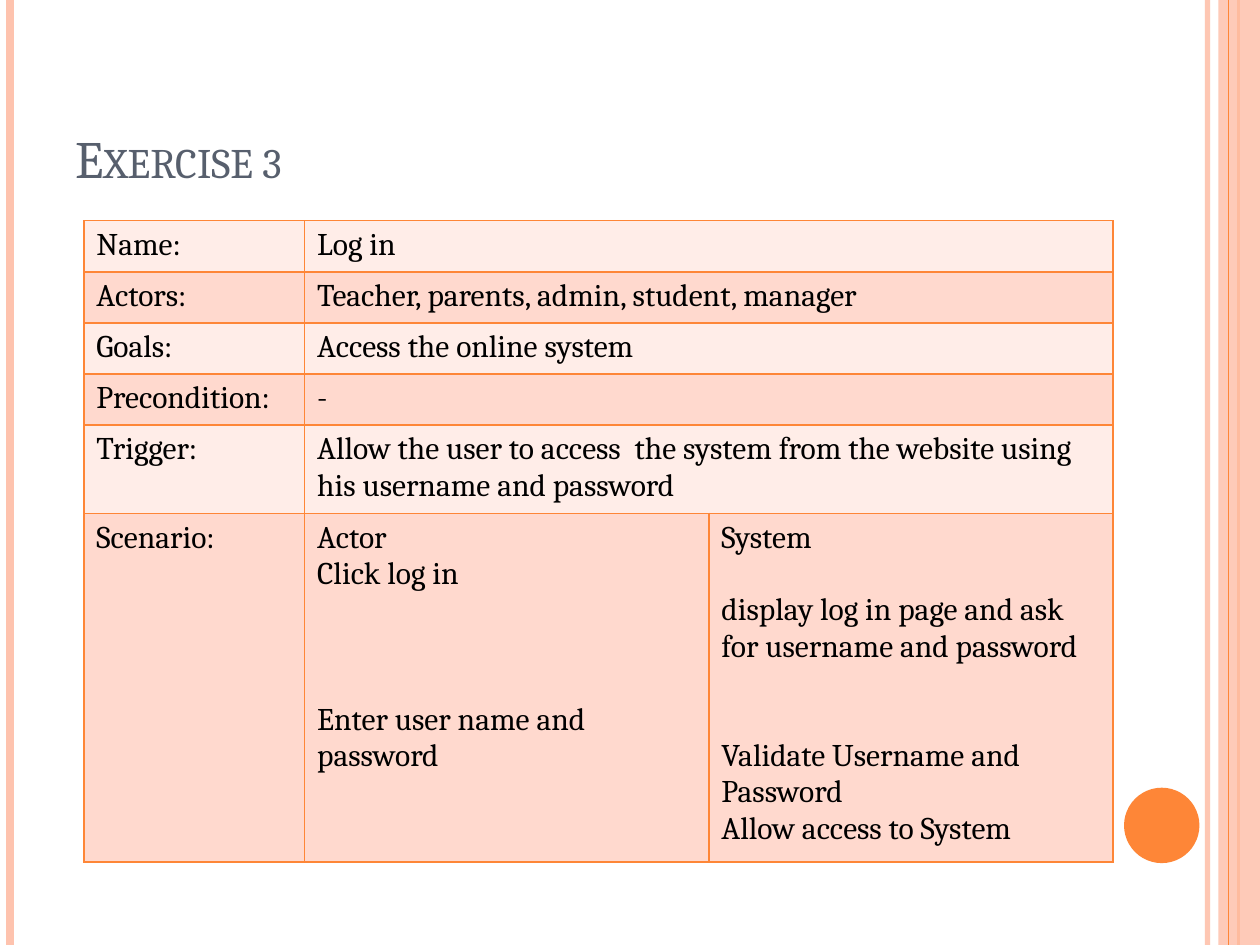
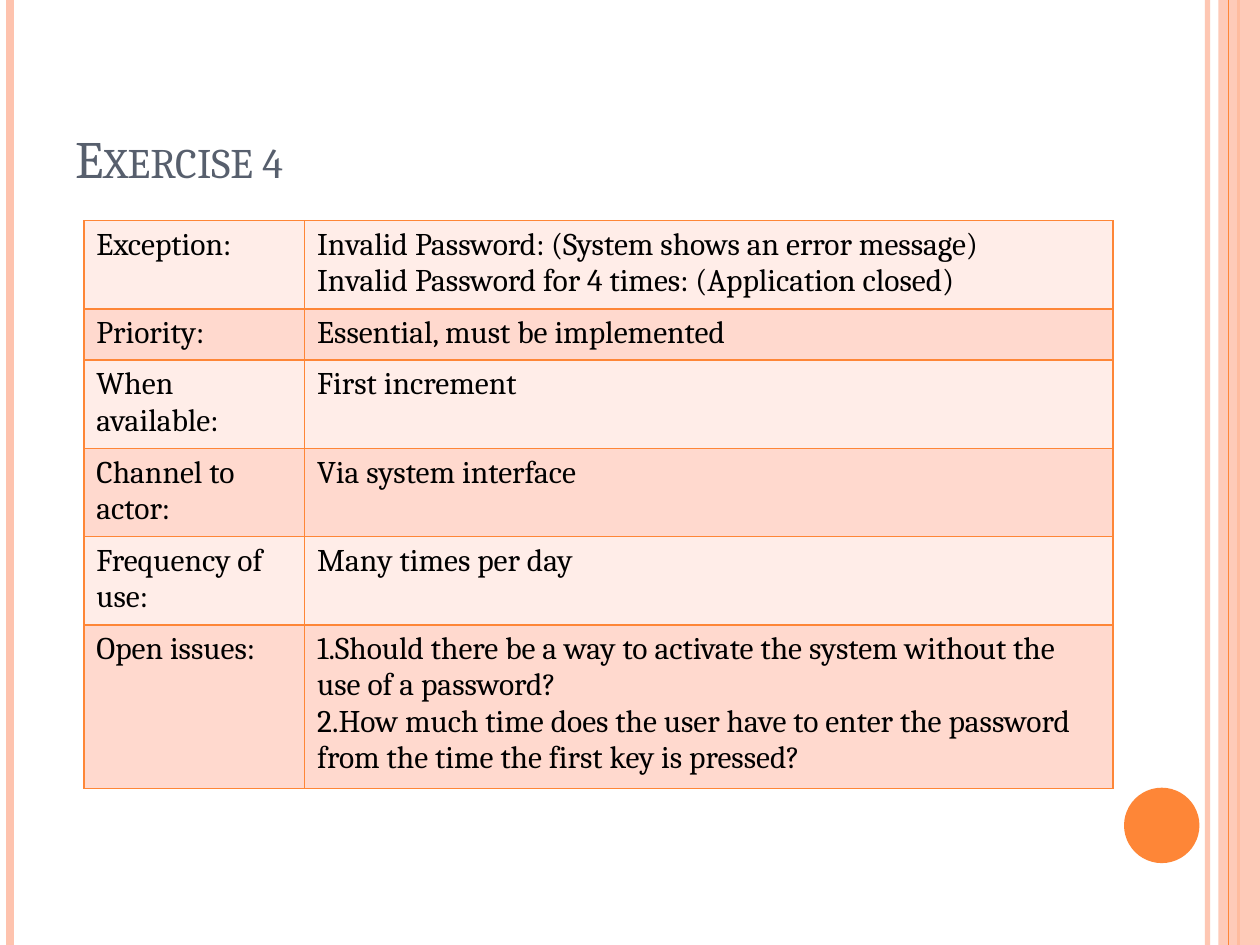
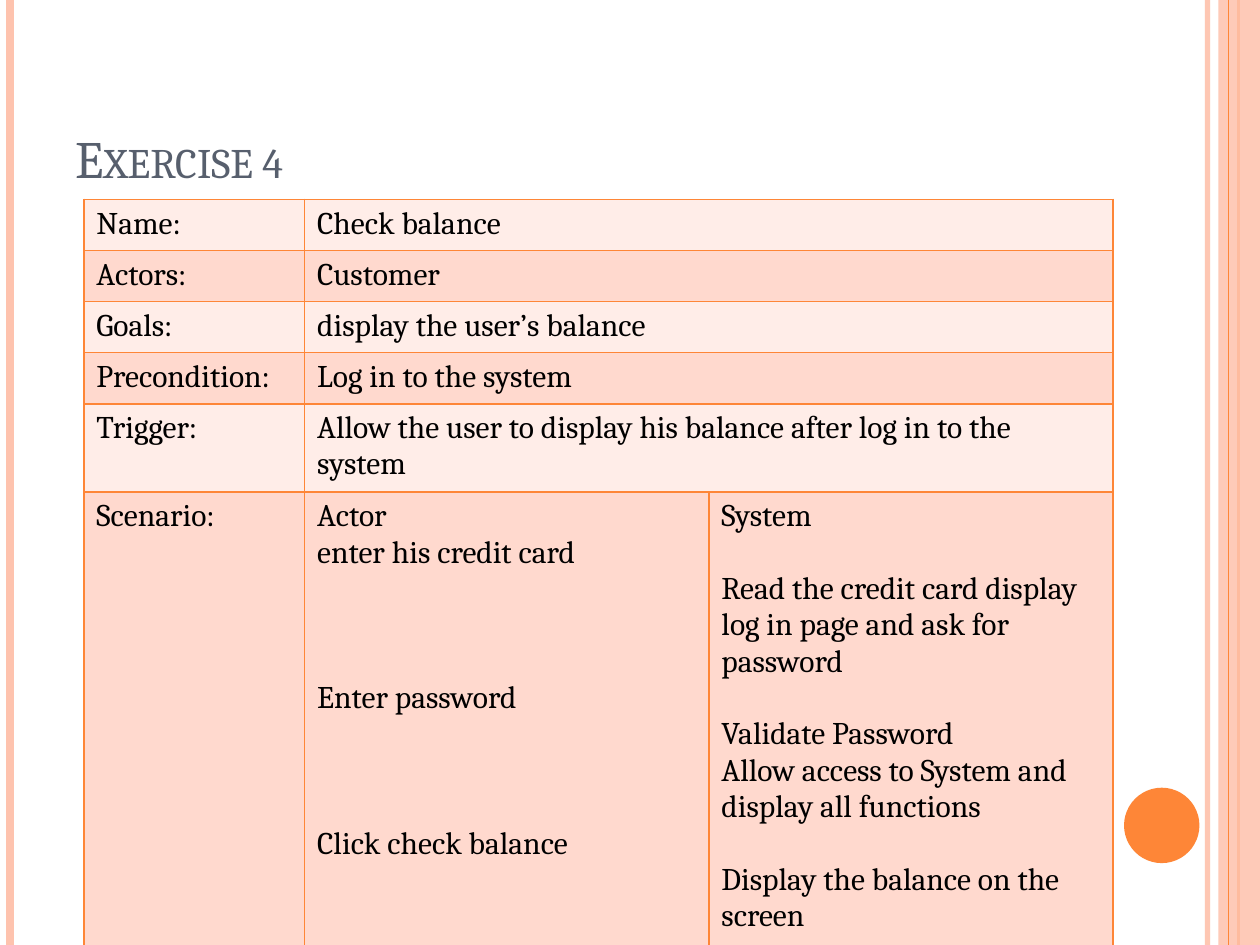
"""Build three use-case slides with a shared frame of stripes and a bordered table."""
from lxml.etree import SubElement
from pptx import Presentation
from pptx.dml.color import RGBColor
from pptx.enum.shapes import MSO_CONNECTOR, MSO_SHAPE
from pptx.enum.text import MSO_ANCHOR
from pptx.oxml import parse_xml
from pptx.oxml.ns import nsdecls, qn
from pptx.util import Cm, Pt

COLOURS = {
    "orange": "FE8637",
    "peach": "FEC3AE",
    "title": "575F6D",
    "text": "000000",
    "light": "FFEDE8",
    "dark": "FFD9CE",
}
WIDTH, HEIGHT = 25.4, 19.05
TITLE_BOX = (1.27, 0.76, 20.75, 3.18)
SIDE_BAND = (24.56, 0, 0.84, HEIGHT)
DISC = (22.66, 15.88, 1.52, 1.52)
TABLE_LEFT = 1.69
LABEL_WIDTH, BODY_WIDTH = 4.45, 16.3
LINE_PITCH, CELL_MARGINS, MIN_ROW = 0.734, 0.25, 1.03

STRIPES_BELOW = [(24.34, "peach", 3, 93), (0.2, "peach", 4.5, 100), (24.97, "orange", 1.5, 100)]
STRIPES_ABOVE = [(24.77, "orange", 0.75, 100)]

TITLE_FORMAT = {"name": "Cambria", "size": Pt(30)}
CELL_FORMAT = {"name": "Cambria", "size": Pt(18)}

# Each row: line count, label, then cells; a cell paragraph is (text, empty lines above).
SLIDES = [
    {
        "title": "Exercise 3",
        "top": 4.45,
        "columns": 3,
        "rows": [
            (1, "Name:", [("Log in", 0)]),
            (1, "Actors:", [("Teacher, parents, admin, student, manager", 0)]),
            (1, "Goals:", [("Access the online system", 0)]),
            (1, "Precondition:", [("-", 0)]),
            (2, "Trigger:", [("Allow the user to access  the system from the website using "
                              "his username and password", 0)]),
            (9, "Scenario:",
             [("Actor", 0), ("Click log in", 0), ("Enter user name and password", 3)],
             [("System", 0), ("display log in page and ask for username and password", 1),
              ("Validate Username and Password", 2), ("Allow access to System", 0)]),
        ],
    },
    {
        "title": "Exercise 4",
        "top": 4.45,
        "columns": 2,
        "rows": [
            (2, "Exception:", [("Invalid Password: (System shows an error message)", 0),
                               ("Invalid Password for 4 times: (Application closed)", 0)]),
            (1, "Priority:", [("Essential, must be implemented", 0)]),
            (2, "When available:", [("First increment", 0)]),
            (2, "Channel to actor:", [("Via system interface", 0)]),
            (2, "Frequency of use:", [("Many times per day", 0)]),
            (4, "Open issues:",
             [("1.Should there be a way to activate the system without the use of a password?", 0),
              ("2.How much time does the user have to enter the password "
               "from the time the first key is pressed?", 0)]),
        ],
    },
    {
        "title": "Exercise 4",
        "top": 4.02,
        "columns": 3,
        "rows": [
            (1, "Name:", [("Check balance", 0)]),
            (1, "Actors:", [("Customer", 0)]),
            (1, "Goals:", [("display the user’s balance", 0)]),
            (1, "Precondition:", [("Log in to the system", 0)]),
            (2, "Trigger:", [("Allow the user to display his balance after log in to the system", 0)]),
            (12, "Scenario:",
             [("Actor", 0), ("enter his credit card", 0), ("Enter password", 3),
              ("Click check balance", 3)],
             [("System", 0), ("Read the credit card display log in page and ask for password", 1),
              ("Validate Password", 1), ("Allow access to System and display all functions", 0),
              ("Display the balance on the screen", 1)]),
        ],
    },
]


def colour(name):
    return RGBColor.from_string(COLOURS[name])


def lengths(values):
    return [Cm(value) for value in values]


def set_opacity(element, percent):
    for tint in element.spPr.iter(qn("a:srgbClr")):
        SubElement(tint, qn("a:alpha")).set("val", str(percent * 1000))


def write(para, text, values, tint):
    span = para.add_run()
    span.text = text
    for name, value in values.items():
        setattr(span.font, name, value)
    span.font.color.rgb = colour(tint)
    return span


def add_stripe(page, x, tint, points, opacity):
    stripe = page.shapes.add_connector(MSO_CONNECTOR.STRAIGHT, *lengths((x, 0, x, HEIGHT)))
    stripe.line.color.rgb = colour(tint)
    stripe.line.width = Pt(points)
    if opacity < 100:
        set_opacity(stripe.element, opacity)
    SubElement(stripe.element.spPr, qn("a:effectLst"))


def add_solid(page, kind, place, tint):
    shape = page.shapes.add_shape(kind, *lengths(place))
    shape.shadow.inherit = False
    shape.fill.solid()
    shape.fill.fore_color.rgb = colour(tint)
    shape.line.fill.background()
    return shape


def add_frame(page, title):
    for stripe in STRIPES_BELOW:
        add_stripe(page, *stripe)
    band = add_solid(page, MSO_SHAPE.RECTANGLE, SIDE_BAND, "peach")
    set_opacity(band.element, 87)
    for stripe in STRIPES_ABOVE:
        add_stripe(page, *stripe)
    add_solid(page, MSO_SHAPE.OVAL, DISC, "orange")
    box = page.shapes.add_textbox(*lengths(TITLE_BOX))
    box.text_frame.word_wrap = True
    box.text_frame.vertical_anchor = MSO_ANCHOR.BOTTOM
    span = write(box.text_frame.paragraphs[0], title, TITLE_FORMAT, "title")
    span.font._element.set("cap", "small")


def style_cell(cell, tint):
    cell.fill.solid()
    cell.fill.fore_color.rgb = colour(tint)
    properties = cell._tc.get_or_add_tcPr()
    for index, side in enumerate("LRTB"):
        properties.insert(index, parse_xml(
            f'<a:ln{side} {nsdecls("a")} w="12700"><a:solidFill>'
            f'<a:srgbClr val="{COLOURS["orange"]}"/></a:solidFill></a:ln{side}>'))


def fill_cell(cell, paragraphs):
    frame = cell.text_frame
    for index, (text, gap) in enumerate(paragraphs):
        para = frame.add_paragraph() if index else frame.paragraphs[0]
        if gap:
            para.space_before = Cm(gap * LINE_PITCH)
        write(para, text, CELL_FORMAT, "text")


def add_use_case(page, top, columns, rows):
    widths = [LABEL_WIDTH] + [BODY_WIDTH / (columns - 1)] * (columns - 1)
    heights = [max(MIN_ROW, CELL_MARGINS + row[0] * LINE_PITCH) for row in rows]
    place = lengths((TABLE_LEFT, top, sum(widths), sum(heights)))
    table = page.shapes.add_table(len(rows), columns, *place).table
    table.first_row = table.horz_banding = False
    for column, width in zip(table.columns, widths):
        column.width = Cm(width)
    for index, (lines, label, *bodies) in enumerate(rows):
        table.rows[index].height = Cm(heights[index])
        for cell in table.rows[index].cells:
            style_cell(cell, "dark" if index % 2 else "light")
        if len(bodies) < columns - 1:
            table.cell(index, 1).merge(table.cell(index, columns - 1))
        for position, paragraphs in enumerate([[(label, 0)], *bodies]):
            fill_cell(table.cell(index, position), paragraphs)


def main():
    deck = Presentation()
    deck.slide_width, deck.slide_height = lengths((WIDTH, HEIGHT))
    for content in SLIDES:
        page = deck.slides.add_slide(deck.slide_layouts[6])
        add_frame(page, content["title"])
        add_use_case(page, content["top"], content["columns"], content["rows"])
    deck.save("out.pptx")


if __name__ == "__main__":
    main()
